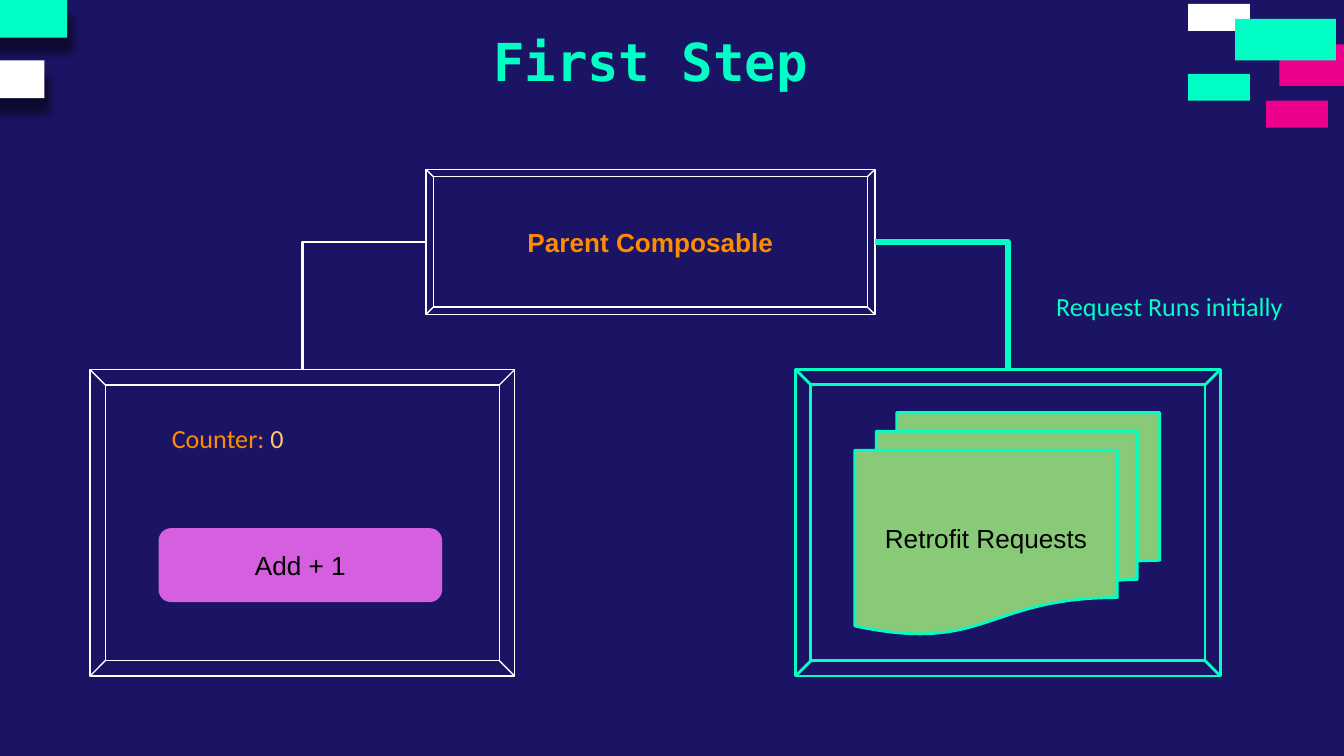
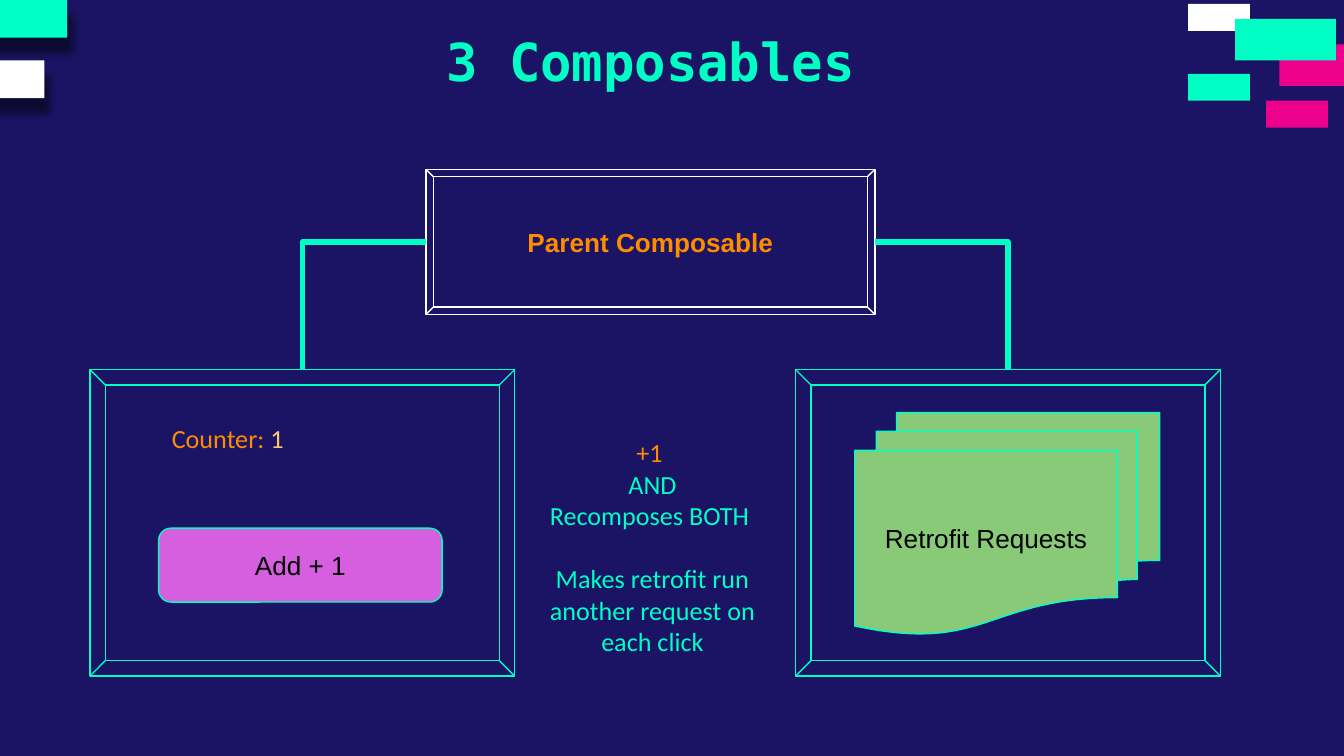
from dataclasses import dataclass

from lxml import etree
from pptx import Presentation
from pptx import util as u
from pptx.dml.color import RGBColor
from pptx.enum import shapes, text
from pptx.oxml import ns

NAVY = RGBColor(0x1B, 0x14, 0x64)
MINT = RGBColor(0x00, 0xFF, 0xC5)
WHITE = RGBColor(0xFF, 0xFF, 0xFF)
PINK = RGBColor(0xEC, 0x00, 0x8C)
ORANGE = RGBColor(0xFF, 0x8C, 0x00)
AMBER = RGBColor(0xFF, 0xC6, 0x6D)
ORCHID = RGBColor(0xD5, 0x5F, 0xDE)
GREEN = RGBColor(0x89, 0xCA, 0x78)
BLACK = RGBColor(0x00, 0x00, 0x00)

TITLE_FONT, SHAPE_FONT, NOTE_FONT = "DejaVu Sans Mono", "Arial", "Calibri"
SHAPE = shapes.MSO_SHAPE
CENTER = text.PP_ALIGN.CENTER
TOP, MIDDLE = text.MSO_ANCHOR.TOP, text.MSO_ANCHOR.MIDDLE
THIN, MEDIUM, THICK = 0.75, 1.5, 3


@dataclass
class Box:
    left: float
    top: float
    width: float
    height: float

    def inside(self, left, top, width, height):
        return Box(self.left + left, self.top + top, width, height)

    def inches(self):
        return [u.Inches(n) for n in (self.left, self.top, self.width, self.height)]


SLIDE = Box(0, 0, 10, 10 * 9 / 16)
TITLE = Box(2.95, 0.12, 3.78, 0.73)
PARENT = Box(3.17, 1.26, 3.34, 1.08)
COUNTER = Box(0.67, 2.75, 3.16, 2.28)
REQUESTS = Box(5.92, 2.75, 3.16, 2.28)
INITIAL_NOTE = Box(7.76, 2.06, 2.12, 0.44)
CLICK_NOTE = Box(3.94, 3.15, 1.83, 1.85)


def set_margins(frame):
    frame.margin_left = frame.margin_right = u.Inches(0.1)
    frame.margin_top = frame.margin_bottom = u.Inches(0.1)
    frame.word_wrap = True


def add_run(paragraph, words, font=NOTE_FONT, size=14, color=MINT, bold=False):
    run = paragraph.add_run()
    run.text = words
    run.font.name = font
    run.font.size = u.Pt(size)
    run.font.color.rgb = color
    run.font.bold = bold


def write_centered(frame, words, anchor=MIDDLE, **style):
    set_margins(frame)
    frame.vertical_anchor = anchor
    paragraph = frame.paragraphs[0]
    paragraph.alignment = CENTER
    add_run(paragraph, words, **style)


def add_note(parent, box, paragraphs, alignment=None):
    shape = parent.shapes.add_textbox(*box.inches())
    frame = shape.text_frame
    set_margins(frame)
    frame.auto_size = text.MSO_AUTO_SIZE.SHAPE_TO_FIT_TEXT
    for index, (runs, gap) in enumerate(paragraphs):
        paragraph = frame.add_paragraph() if index else frame.paragraphs[0]
        paragraph.alignment = alignment
        if gap:
            paragraph.space_before = u.Pt(gap)
        for words, color in runs:
            add_run(paragraph, words, color=color)


def draw_shape(parent, kind, box, fill=None, line=None, width=THIN, corner=None):
    shape = parent.shapes.add_shape(kind, *box.inches())
    shape.shadow.inherit = False
    if fill is None:
        shape.fill.background()
    else:
        shape.fill.solid()
        shape.fill.fore_color.rgb = fill
    if line is None:
        shape.line.fill.background()
    else:
        shape.line.color.rgb = line
        shape.line.width = u.Pt(width)
    if corner is not None:
        shape.adjustments[0] = corner
    return shape


def draw_frame(parent, box, line, width=THIN):
    return draw_shape(parent, SHAPE.BEVEL, box, line=line, width=width, corner=0.05)


def add_drop_shadow(shape):
    effects = shape._element.spPr.find(ns.qn("a:effectLst"))
    shadow = etree.SubElement(effects, ns.qn("a:outerShdw"), blurRad=str(u.Pt(4.5)),
                              dist=str(u.Pt(9)), dir=str(70 * 60000),
                              algn="bl", rotWithShape="0")
    color = etree.SubElement(shadow, ns.qn("a:srgbClr"), val=str(BLACK))
    etree.SubElement(color, ns.qn("a:alpha"), val="50000")


def draw_corner_blocks(slide, box):
    for left, top, color in ((-0.23, 0, MINT), (-0.4, 0.45, WHITE)):
        block = draw_shape(slide, SHAPE.RECTANGLE, box.inside(left, top, 0.73, 0.28), color)
        add_drop_shadow(block)
    large, small = (0.75, 0.31), (0.46, 0.2)
    for left, top, size, color in (
        (9.52, 0.33, large, PINK),
        (8.84, 0.03, small, WHITE),
        (8.84, 0.55, small, MINT),
        (9.42, 0.75, small, PINK),
        (9.19, 0.14, large, MINT),
    ):
        draw_shape(slide, SHAPE.RECTANGLE, box.inside(left, top, *size), color)


def write_title(slide, box, words):
    title = slide.shapes.title
    title.left, title.top, title.width, title.height = box.inches()
    write_centered(title.text_frame, words, TOP, font=TITLE_FONT, size=28, bold=True)


def draw_counter(slide, box, count, line, button_line):
    group = slide.shapes.add_group_shape()
    draw_frame(group, box, line)
    button = draw_shape(group, SHAPE.ROUNDED_RECTANGLE, box.inside(0.51, 1.18, 2.11, 0.55),
                        ORCHID, button_line, corner=0.167)
    write_centered(button.text_frame, "Add + 1", font=SHAPE_FONT, color=BLACK)
    add_note(group, box.inside(0.51, 0.29, 2.27, 0.44),
             [([("Counter: ", ORANGE), (str(count), AMBER)], 0)])


def draw_requests(slide, box, width):
    group = slide.shapes.add_group_shape()
    stack = draw_shape(group, SHAPE.FLOWCHART_MULTIDOCUMENT,
                       box.inside(0.44, 0.32, 2.27, 1.65), GREEN, MINT, width)
    write_centered(stack.text_frame, "Retrofit Requests", font=SHAPE_FONT, color=BLACK)
    draw_frame(group, box, MINT, width)


def draw_parent(slide, box):
    frame = draw_frame(slide, box, WHITE)
    write_centered(frame.text_frame, "Parent Composable", font=SHAPE_FONT,
                   color=ORANGE, bold=True)


def connect_child(slide, parent, child, color, width):
    end = child.left + child.width / 2
    start = parent.left if end < parent.left else parent.left + parent.width
    middle = parent.top + parent.height / 2
    connector = slide.shapes.add_connector(
        shapes.MSO_CONNECTOR.ELBOW, u.Inches(start), u.Inches(middle),
        u.Inches(end), u.Inches(child.top))
    connector.line.color.rgb = color
    connector.line.width = u.Pt(width)
    properties = connector._element.spPr
    properties.find(ns.qn("a:prstGeom")).set("prst", "bentConnector2")
    etree.SubElement(properties, ns.qn("a:effectLst"))


def build_slide(presentation, title, count, counter_line, button_line,
                requests_width, counter_link_width):
    slide = presentation.slides.add_slide(presentation.slide_layouts[5])
    slide.background.fill.solid()
    slide.background.fill.fore_color.rgb = NAVY
    draw_corner_blocks(slide, SLIDE)
    write_title(slide, TITLE, title)
    draw_counter(slide, COUNTER, count, counter_line, button_line)
    draw_requests(slide, REQUESTS, requests_width)
    draw_parent(slide, PARENT)
    connect_child(slide, PARENT, COUNTER, counter_line, counter_link_width)
    connect_child(slide, PARENT, REQUESTS, MINT, THICK)
    return slide


def main():
    presentation = Presentation()
    presentation.slide_width = u.Inches(SLIDE.width)
    presentation.slide_height = u.Inches(SLIDE.height)

    first = build_slide(presentation, "First Step", 0, WHITE, None, MEDIUM, MEDIUM)
    add_note(first, INITIAL_NOTE, [([("Request Runs initially", MINT)], 0)])

    second = build_slide(presentation, "3 Composables", 1, MINT, MINT, THIN, THICK)
    add_note(second, CLICK_NOTE, [
        ([("+1 ", ORANGE)], 0),
        ([("AND", MINT)], 0),
        ([("Recomposes BOTH ", MINT)], 0),
        ([("Makes retrofit run another request on each click", MINT)], 17),
    ], CENTER)

    presentation.save("out.pptx")


if __name__ == "__main__":
    main()
